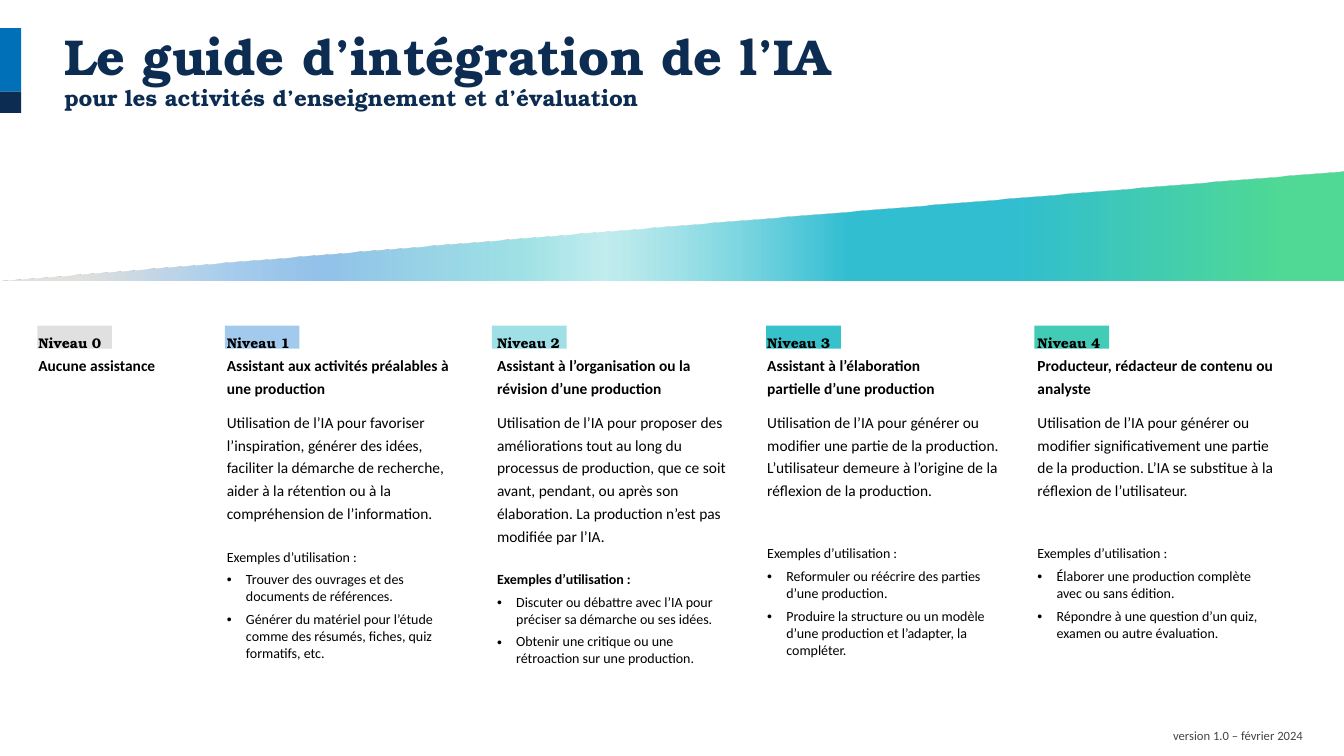
"""Build the slide that presents the five levels of AI integration."""
from dataclasses import dataclass

import lxml.etree
import pptx
import pptx.dml.color
import pptx.enum.shapes
import pptx.enum.text
import pptx.oxml.ns
import pptx.util

Inches = pptx.util.Inches
qn = pptx.oxml.ns.qn


@dataclass(frozen=True)
class Theme:
    """Colours, fonts and type sizes of the slide."""

    navy: str = "0D2C52"
    blue: str = "0070B9"
    black: str = "000000"
    grey: str = "444547"
    serif: str = "TeX Gyre Bonum"
    sans: str = "Calibri"
    title: int = 36
    subtitle: int = 16
    body: int = 11
    small: int = 10
    footer: int = 9
    ramp: tuple = (
        (6, "D9D9D6", 80), (17, "92C1E9", 80), (24, "92C1E9", 100), (39, "88DBDF", 80),
        (45, "88DBDF", 50), (63, "00AEC7", 80), (75, "00AEC7", 80), (95, "26D07C", 80),
    )


@dataclass(frozen=True)
class Level:
    """Content of one column, with the place and colour of its tag."""

    name: str
    role: str
    tag_left: float
    tag_color: str
    description: str = ""
    examples: tuple = ()
    gap: int = 18
    bold_label: bool = False


THEME = Theme()
LEVELS = (
    Level("Niveau 0", "Aucune assistance", 0.37, "DFE0DF"),
    Level(
        "Niveau 1", "Assistant aux activités préalables à une production", 2.23, "A2CAEC",
        "Utilisation de l’IA pour favoriser l’inspiration, générer des idées, faciliter la "
        "démarche de recherche, aider à la rétention ou à la compréhension de l’information.",
        ("Trouver des ouvrages et des documents de références.",
         "Générer du matériel pour l’étude comme des résumés, fiches, quiz formatifs, etc."),
    ),
    Level(
        "Niveau 2", "Assistant à l’organisation ou la révision d’une production", 4.88, "9FE0E6",
        "Utilisation de l’IA pour proposer des améliorations tout au long du processus de "
        "production, que ce soit avant, pendant, ou après son élaboration. La production "
        "n’est pas modifiée par l’IA.",
        ("Discuter ou débattre avec l’IA pour préciser sa démarche ou ses idées.",
         "Obtenir une critique ou une rétroaction sur une production."),
        bold_label=True,
    ),
    Level(
        "Niveau 3", "Assistant à l’élaboration\vpartielle d’une production", 7.6, "37C1CB",
        "Utilisation de l’IA pour générer ou modifier une partie de la production. "
        "L’utilisateur demeure à l’origine de la réflexion de la production.",
        ("Reformuler ou réécrire des parties d’une production.",
         "Produire la structure ou un modèle d’une production et l’adapter, la compléter."),
        gap=32,
    ),
    Level(
        "Niveau 4", "Producteur, rédacteur de contenu ou analyste", 10.26, "42CBB5",
        "Utilisation de l’IA pour générer ou modifier significativement une partie de la "
        "production. L’IA se substitue à la réflexion de l’utilisateur.",
        ("Élaborer une production complète avec ou sans édition.",
         "Répondre à une question d’un quiz, examen ou autre évaluation."),
        gap=32,
    ),
)


def style(font, name, size, color, bold=False):
    """Set the typeface, size, colour and weight of a font."""
    font.name, font.size, font.bold = name, pptx.util.Pt(size), bold
    font.color.rgb = pptx.dml.color.RGBColor.from_string(color)


def add_block(slide, kind, box, color):
    """Add a plain shape without outline or shadow."""
    shape = slide.shapes.add_shape(kind, *map(Inches, box))
    shape.shadow.inherit = False
    shape.line.fill.background()
    shape.fill.solid()
    shape.fill.fore_color.rgb = pptx.dml.color.RGBColor.from_string(color)
    return shape


def add_header(slide, box):
    """Add the two-tone accent and the two-line title."""
    left, top, width, height = box
    rectangle = pptx.enum.shapes.MSO_SHAPE.RECTANGLE
    add_block(slide, rectangle, (0, top + 0.11, 0.21, 0.63), THEME.blue)
    add_block(slide, rectangle, (0, top + 0.74, 0.21, 0.21), THEME.navy)
    frame = slide.shapes.add_textbox(*map(Inches, box)).text_frame
    frame.word_wrap = True
    frame.vertical_anchor = pptx.enum.text.MSO_ANCHOR.MIDDLE
    paragraph = frame.paragraphs[0]
    paragraph.text = "Le guide d’intégration de l’IA\vpour les activités d’enseignement et d’évaluation"
    paragraph.line_spacing = 0.9
    for run, size in zip(paragraph.runs, (THEME.title, THEME.subtitle)):
        style(run.font, THEME.serif, size, THEME.navy, True)


def add_wedge(slide, box):
    """Add the rising triangle with its left-to-right colour ramp."""
    left, top, width, height = box
    upright = (left + (width - height) / 2, top + (height - width) / 2, height, width)
    wedge = add_block(slide, pptx.enum.shapes.MSO_SHAPE.RIGHT_TRIANGLE, upright, THEME.navy)
    wedge.rotation = 270
    properties = wedge.fill._xPr
    gradient = lxml.etree.Element(qn("a:gradFill"), rotWithShape="1")
    stops = lxml.etree.SubElement(gradient, qn("a:gsLst"))
    for position, value, opacity in THEME.ramp:
        stop = lxml.etree.SubElement(stops, qn("a:gs"), pos=str(position * 1000))
        color = lxml.etree.SubElement(stop, qn("a:srgbClr"), val=value)
        lxml.etree.SubElement(color, qn("a:alpha"), val=str(opacity * 1000))
    lxml.etree.SubElement(gradient, qn("a:lin"), ang="5400000", scaled="0")
    properties.replace(properties.find(qn("a:solidFill")), gradient)


def add_text(frame, text, size, after, spacing=1.0, bold=False, bullet=False):
    """Append one styled paragraph to a cell."""
    paragraph = frame.add_paragraph()
    paragraph.text = text
    paragraph.line_spacing = spacing
    paragraph.space_after = pptx.util.Pt(after)
    if bullet:
        properties = paragraph._p.get_or_add_pPr()
        properties.set("marL", str(Inches(0.19)))
        properties.set("indent", str(-Inches(0.19)))
        lxml.etree.SubElement(properties, qn("a:buFont"), typeface="Arial")
        lxml.etree.SubElement(properties, qn("a:buChar"), char="•")
    for run in paragraph.runs:
        style(run.font, THEME.sans, size, THEME.black, bold)


def fill_cell(cell, level):
    """Write one level into its table cell."""
    cell.fill.background()
    cell.margin_left = cell.margin_right = cell.margin_top = cell.margin_bottom = Inches(0.15)
    frame = cell.text_frame
    heading = frame.paragraphs[0]
    heading.text = f"{level.name}\v{level.role}"
    heading.line_spacing = 1.2
    heading.space_after = pptx.util.Pt(8)
    name, *role = heading.runs
    style(name.font, THEME.serif, THEME.small, THEME.black, True)
    for run in role:
        style(run.font, THEME.sans, THEME.body, THEME.black, True)
    if level.description:
        add_text(frame, level.description, THEME.body, level.gap, 1.2)
        add_text(frame, "Exemples d’utilisation :", THEME.small, 4, bold=level.bold_label)
    for example in level.examples:
        add_text(frame, example, THEME.small, 4, bullet=True)


def add_levels(slide, box):
    """Add the coloured tags and the table of levels over them."""
    left, top, width, height = box
    for level in LEVELS:
        tag = (level.tag_left, top + 0.12, 0.74, 0.23)
        add_block(slide, pptx.enum.shapes.MSO_SHAPE.RECTANGLE, tag, level.tag_color)
    table = slide.shapes.add_table(1, len(LEVELS), *map(Inches, box)).table
    table.first_row = table.horz_banding = False
    first = 1.87
    for index, level in enumerate(LEVELS):
        column = (width - first) / (len(LEVELS) - 1) if index else first
        table.columns[index].width = Inches(column)
        fill_cell(table.cell(0, index), level)


def add_footer(slide, box):
    """Add the version note, aligned right."""
    frame = slide.shapes.add_textbox(*map(Inches, box)).text_frame
    frame.word_wrap = False
    paragraph = frame.paragraphs[0]
    paragraph.text = "version 1.0 – février 2024"
    paragraph.alignment = pptx.enum.text.PP_ALIGN.RIGHT
    style(paragraph.runs[0].font, THEME.sans, THEME.footer, THEME.grey)


def main():
    """Assemble the slide and save it."""
    presentation = pptx.Presentation()
    presentation.slide_width, presentation.slide_height = Inches(13.33), Inches(7.5)
    slide = presentation.slides.add_slide(presentation.slide_layouts[6])
    add_header(slide, (0.54, 0.17, 12.6, 1.08))
    add_levels(slide, (0.23, 3.11, 12.59, 3.99))
    add_wedge(slide, (0, 1.7, 13.33, 1.08))
    add_footer(slide, (11.35, 7.17, 1.67, 0.25))
    presentation.save("out.pptx")


if __name__ == "__main__":
    main()
